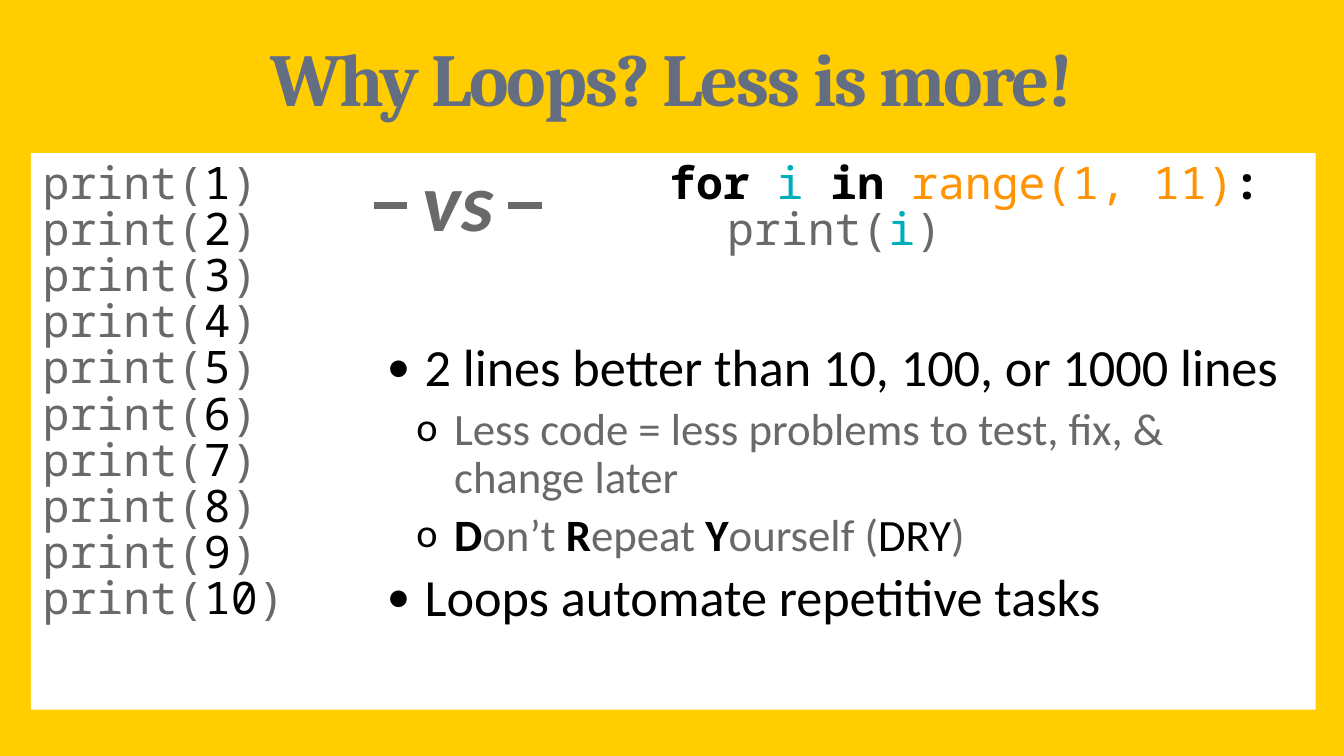
from dataclasses import dataclass

import lxml.etree
import pptx
import pptx.dml.color
import pptx.enum.shapes
import pptx.enum.text
import pptx.oxml.ns
import pptx.util

Pt = pptx.util.Pt
qn = pptx.oxml.ns.qn


@dataclass(frozen=True)
class Theme:
    gold: str = "FFCD00"
    white: str = "FFFFFF"
    slate: str = "646E82"
    gray: str = "696969"
    black: str = "000000"
    teal: str = "00ADBC"
    orange: str = "FF9300"
    serif: str = "Cambria"
    sans: str = "Calibri"
    mono: str = "Noto Sans Mono"
    title: int = 40
    versus: int = 44
    point: int = 28
    detail: int = 24
    code: int = 24


LOOK = Theme()


def rgb(code):
    return pptx.dml.color.RGBColor.from_string(code)


def mark(para, char):
    props = para._p.get_or_add_pPr()
    tint = lxml.etree.SubElement(props, qn("a:buClr"))
    lxml.etree.SubElement(tint, qn("a:srgbClr"), val=LOOK.black)
    lxml.etree.SubElement(props, qn("a:buSzPct"), val="90000")
    lxml.etree.SubElement(props, qn("a:buFont"), typeface=LOOK.sans)
    lxml.etree.SubElement(props, qn("a:buChar"), char=char)


def add_run(para, text, font, size, color, bold=False, italic=False, track=None):
    run = para.add_run()
    run.text = text
    run.font.name = font
    run.font.size = Pt(size)
    run.font.bold = bold
    run.font.italic = italic
    run.font.color.rgb = rgb(color)
    if track is not None:
        run._r.get_or_add_rPr().set("spc", str(round(track * 100)))


def add_para(para, runs, align=None, lines=None, before=None,
             left=0, hang=0, level=0, bullet=None, **font):
    para.level = level
    if align is not None:
        para.alignment = align
    if lines is not None:
        para.line_spacing = lines
    if before is not None:
        para.space_before = Pt(before)
    if hang:
        props = para._p.get_or_add_pPr()
        props.set("marL", str(Pt(left)))
        props.set("indent", str(-Pt(hang)))
    if bullet:
        mark(para, bullet)
    for text, extra in runs:
        add_run(para, text, **{**font, **extra})


def add_text(shapes, area, paras, wrap=True, anchor="TOP", inset=(7.2, 3.6), **style):
    frame = shapes.add_textbox(*map(Pt, area)).text_frame
    frame.word_wrap = wrap
    frame.vertical_anchor = pptx.enum.text.MSO_ANCHOR[anchor]
    frame.margin_left = frame.margin_right = Pt(inset[0])
    frame.margin_top = frame.margin_bottom = Pt(inset[1])
    for spot, (runs, extra) in enumerate(paras):
        para = frame.add_paragraph() if spot else frame.paragraphs[0]
        form = {**style, **extra}
        if not spot:
            form["before"] = None
        add_para(para, runs, **form)


def add_panel(shapes, area):
    panel = shapes.add_shape(pptx.enum.shapes.MSO_SHAPE.RECTANGLE, *map(Pt, area))
    panel.shadow.inherit = False
    panel.fill.solid()
    panel.fill.fore_color.rgb = rgb(LOOK.white)
    panel.line.fill.background()


def add_dash(shapes, left, top, width):
    dash = shapes.add_connector(
        pptx.enum.shapes.MSO_CONNECTOR.STRAIGHT,
        Pt(left), Pt(top), Pt(left + width), Pt(top))
    dash.line.color.rgb = rgb(LOOK.gray)
    dash.line.width = Pt(4)
    lxml.etree.SubElement(dash._element.spPr, qn("a:effectLst"))


def add_code(shapes, area, rows):
    add_text(shapes, area, [(row, {}) for row in rows], lines=0.8, before=1.65,
             left=31, hang=31, font=LOOK.mono, size=LOOK.code, color=LOOK.gray)


def add_versus(shapes):
    group = shapes.add_group_shape().shapes
    center = pptx.enum.text.PP_ALIGN.CENTER
    add_text(group, (218.2, 76.3, 54.7, 60.5), [([("vs", {})], {})],
             wrap=False, align=center, font=LOOK.sans, size=LOOK.versus,
             color=LOOK.gray, bold=True, italic=True)
    for left in (200.2, 272.2):
        add_dash(group, left, 110.2, 18)


def add_points(shapes):
    dark = {"color": LOOK.black}
    bold = {"color": LOOK.black, "bold": True}
    top = {"size": LOOK.point, "color": LOOK.black, "left": 20.2,
           "before": 5.6, "bullet": "•"}
    sub = {"size": LOOK.detail, "color": LOOK.gray, "left": 36,
           "before": 4.8, "bullet": "o", "level": 1}
    paras = [
        ([("2 lines better than 10, 100, or 1000 lines", {})], top),
        ([("Less code = less problems to test, fix, & change later", {})], sub),
        ([("D", bold), ("on’t ", {}), ("R", bold), ("epeat ", {}), ("Y", bold),
          ("ourself (", {}), ("DRY", dark), (")", {})], sub),
        ([("Loops automate repetitive tasks", {})], top),
    ]
    add_text(shapes, (200.2, 179.3, 504, 163.4), paras,
             lines=0.9, hang=20.2, font=LOOK.sans)


def main():
    deck = pptx.Presentation()
    deck.slide_width, deck.slide_height = Pt(720), Pt(405)
    slide = deck.slides.add_slide(deck.slide_layouts[6])
    slide.background.fill.solid()
    slide.background.fill.fore_color.rgb = rgb(LOOK.gold)
    shapes = slide.shapes

    add_panel(shapes, (16.6, 82.1, 688.3, 298.1))
    add_text(shapes, (15.8, 17.3, 688.3, 53.3),
             [([("Why Loops? Less is more!", {})], {})],
             anchor="MIDDLE", inset=(8.6, 5), lines=0.9,
             align=pptx.enum.text.PP_ALIGN.CENTER, font=LOOK.serif,
             size=LOOK.title, color=LOOK.slate, bold=True, track=-1.1)

    dark = {"color": LOOK.black}
    word = {"color": LOOK.black, "bold": True}
    teal = {"color": LOOK.teal}
    add_code(shapes, (15.8, 85, 167, 292.3),
             [[("print(", {}), (str(num), dark), (")", {})] for num in range(1, 11)])
    add_code(shapes, (351.4, 85, 334.8, 134.6), [
        [("for ", word), ("i ", teal), ("in ", word),
         ("range(1, 11)", {"color": LOOK.orange}), (":", word)],
        [("\t", {}), ("print(", {}), ("i", teal), (")", {})],
    ])
    add_versus(shapes)
    add_points(shapes)
    deck.save("out.pptx")


if __name__ == "__main__":
    main()
